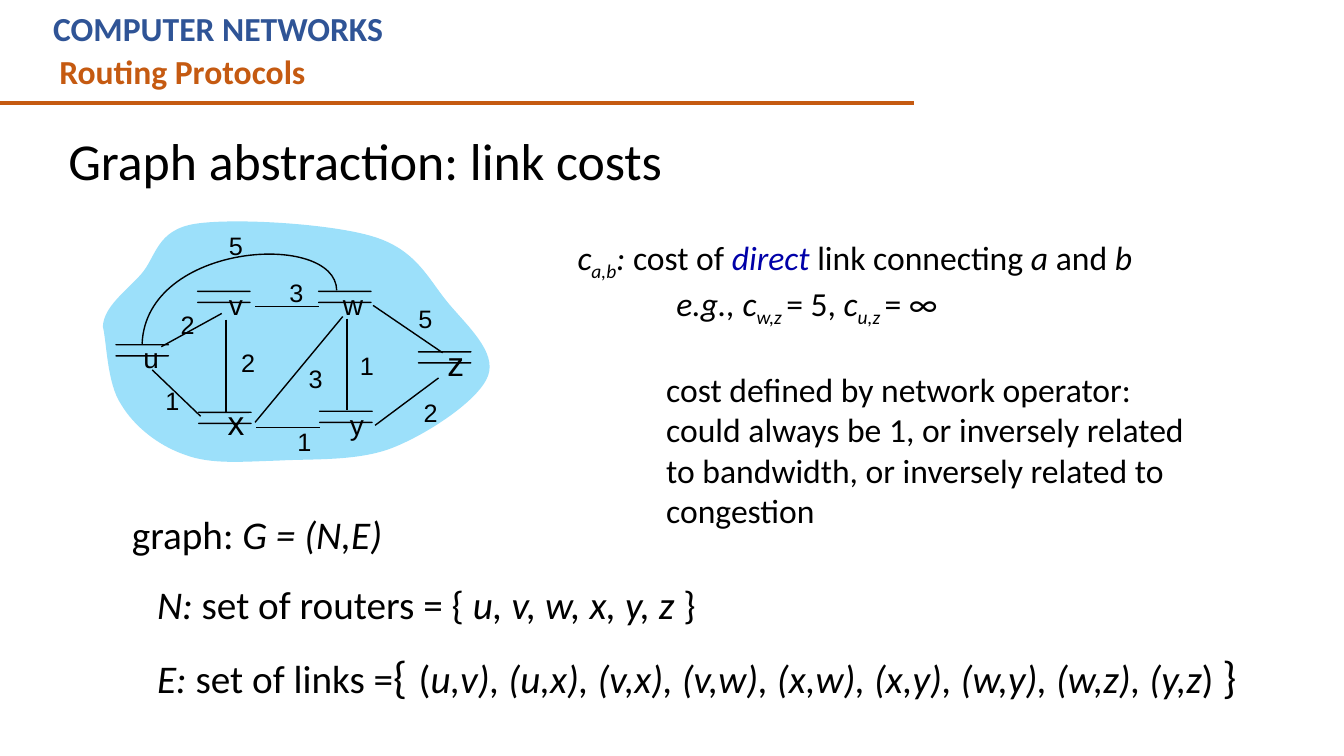
from dataclasses import dataclass

from lxml import etree
from pptx import Presentation, util as u
from pptx.dml.color import RGBColor
from pptx.enum import shapes, text
from pptx.oxml.ns import qn


@dataclass(frozen=True)
class Theme:
    ink: str = "000000"
    blue: str = "2F5496"
    orange: str = "C55A11"
    accent: str = "0000A8"
    cloud: str = "9CE0FA"
    router: str = "CCCCFF"
    body: str = "Calibri"
    label: str = "Arial"
    title_size: int = 37
    set_size: int = 28
    note_size: int = 24
    node_size: int = 20
    cost_size: int = 18
    brace_size: int = 32
    gap_size: int = 36


def rgb(value):
    return RGBColor.from_string(value)


class SlideBuilder:
    def __init__(self, prs, theme):
        self.theme = theme
        self.s = prs.slides.add_slide(prs.slide_layouts[6])

    def line(self, start, end, color=None, width=1):
        cx = self.s.shapes.add_connector(
            shapes.MSO_CONNECTOR.STRAIGHT, *(u.Inches(v) for v in (*start, *end)))
        cx.line.color.rgb = rgb(color or self.theme.ink)
        cx.line.width = u.Pt(width)
        etree.SubElement(cx._element.spPr, qn("a:effectLst"))

    def paint(self, sp, fill=None, outlined=True):
        sp.shadow.inherit = False
        if fill:
            sp.fill.solid()
            sp.fill.fore_color.rgb = rgb(fill)
        else:
            sp.fill.background()
        if outlined:
            sp.line.color.rgb = rgb(self.theme.ink)
            sp.line.width = u.Pt(1)
        else:
            sp.line.fill.background()

    def shape(self, kind, box, fill, outlined):
        sp = self.s.shapes.add_shape(kind, *(u.Inches(v) for v in box))
        self.paint(sp, fill, outlined)

    def outline(self, points, curved=False, fill=None):
        """A path; when curved, each three points after the first make one cubic curve."""
        first, *rest = [(u.Inches(x), u.Inches(y)) for x, y in points]
        fb = self.s.shapes.build_freeform(*first)
        fb.add_line_segments(rest, close=bool(fill))
        sp = fb.convert_to_shape()
        self.paint(sp, fill, outlined=not fill)
        if curved:
            steps = list(sp._element.iter(qn("a:lnTo")))
            for n in range(0, len(rest), 3):
                cubic = etree.Element(qn("a:cubicBezTo"))
                steps[n].addprevious(cubic)
                for step in steps[n:n + 3]:
                    cubic.append(step[0])
                    step.getparent().remove(step)

    def text(self, box, paragraphs, grow=True, anchor=text.MSO_ANCHOR.TOP, **base):
        """Each paragraph is (runs, paragraph format); each run is (text, font format)."""
        tf = self.s.shapes.add_textbox(*(u.Inches(v) for v in box)).text_frame
        fit = text.MSO_AUTO_SIZE
        frame = {"word_wrap": True, "vertical_anchor": anchor,
                 "auto_size": fit.SHAPE_TO_FIT_TEXT if grow else fit.NONE}
        for key, value in frame.items():
            setattr(tf, key, value)
        for n, (runs, layout) in enumerate(paragraphs):
            p = tf.add_paragraph() if n else tf.paragraphs[0]
            layout = dict(layout)
            if "indent" in layout:
                p._p.get_or_add_pPr().set("marL", str(u.Inches(layout.pop("indent"))))
            for key, value in layout.items():
                setattr(p, key, value)
            for words, extra in runs:
                self.run(p, words, {"name": self.theme.body, "color": self.theme.ink,
                                    **base, **extra})

    def run(self, p, words, fmt):
        r = p.add_run()
        r.text = words
        r.font.color.rgb = rgb(fmt.pop("color"))
        if fmt.pop("sub", False):
            r._r.get_or_add_rPr().set("baseline", "-25000")
        fmt["size"] = u.Pt(fmt["size"])
        for key, value in fmt.items():
            setattr(r.font, key, value)

    def label(self, words, x, y, size):
        self.text((x, y, 0.52, 0.52), [([(words, {})], {"alignment": text.PP_ALIGN.CENTER})],
                  name=self.theme.label, size=size)

    def router(self, x, y):
        """A flat cylinder: base, two sides, body and top."""
        kinds, fill = shapes.MSO_SHAPE, self.theme.router
        self.shape(kinds.OVAL, (x, y + 0.11, 0.52, 0), fill, True)
        for side in (x, x + 0.55):
            self.line((side, y + 0.1), (side, y + 0.1))
        self.shape(kinds.RECTANGLE, (x, y + 0.1, 0.52, 0), fill, False)
        self.shape(kinds.OVAL, (x, y, 0.52, 0), fill, True)


def draw_graph(b, t):
    b.outline([
        (1.02, 3.24), (1.03, 3.04), (1.25, 2.89), (1.4, 2.72), (1.55, 2.55), (1.55, 2.28),
        (1.94, 2.22), (2.33, 2.16), (3.3, 2.22), (3.71, 2.35), (4.13, 2.48), (4.25, 2.77),
        (4.44, 3), (4.63, 3.23), (4.93, 3.49), (4.84, 3.73), (4.75, 3.97), (4.25, 4.3),
        (3.9, 4.44), (3.55, 4.58), (3.09, 4.55), (2.75, 4.57), (2.4, 4.58), (2.09, 4.61),
        (1.83, 4.51), (1.57, 4.42), (1.33, 4.23), (1.2, 4.01), (1.06, 3.8), (1.06, 3.4),
        (1.02, 3.24)], curved=True, fill=t.cloud)
    links = [  # path, cost, label position
        ([(1.6, 3.44), (2.2, 3.11)], "2", (1.6, 3.02)),
        ([(2.24, 3.17), (2.24, 4.1)], "2", (2.2, 3.4)),
        ([(1.99, 4.13), (1.51, 3.67)], "1", (1.45, 3.77)),
        ([(2.53, 4.19), (3.4, 3.14)], "3", (2.87, 3.56)),
        ([(3.17, 4.24), (2.54, 4.24)], "1", (2.76, 4.18)),
        ([(3.44, 3.16), (3.44, 4.07)], "1", (3.38, 3.43)),
        ([(3.72, 4.22), (4.35, 3.75)], "2", (4.01, 3.89)),
        ([(4.39, 3.5), (3.7, 3.03)], "5", (3.96, 2.96)),
        ([(3.16, 3.04), (2.53, 3.04)], "3", (2.68, 2.7)),
        ([(3.34, 2.88), (3.33, 2.29), (1.45, 2.4), (1.41, 3.41)], "5", (2.08, 2.24)),
    ]
    routers = [  # name, icon position, label position, size
        ("u", (1.15, 3.42), (1.24, 3.33), t.node_size),
        ("x", (1.97, 4.09), (2.08, 3.94), t.note_size),
        ("v", (1.96, 2.89), (2.08, 2.8), t.node_size),
        ("w", (3.16, 2.89), (3.24, 2.8), t.node_size),
        ("y", (3.17, 4.08), (3.28, 3.99), t.node_size),
        ("z", (4.15, 3.49), (4.26, 3.35), t.note_size),
    ]
    for _, icon, _, _ in routers:
        b.router(*icon)
    for points, _, _ in links:
        b.outline(points, curved=len(points) > 2)
    for name, _, spot, size in routers:
        b.label(name, *spot, size)
    for _, cost, spot in links:
        b.label(cost, *spot, t.cost_size)


def main():
    prs = Presentation()
    prs.slide_width, prs.slide_height = u.Inches(13.33), u.Inches(7.5)
    t = Theme()
    b = SlideBuilder(prs, t)
    plain, it = {}, {"italic": True}
    sub = {"italic": True, "sub": True}

    b.text((0.58, 1.13, 7.5, 0.98),
           [([("Graph abstraction: link costs", plain)], {"line_spacing": 0.9})],
           grow=False, anchor=text.MSO_ANCHOR.MIDDLE, size=t.title_size)
    draw_graph(b, t)

    b.text((1.21, 5.01, 2.71, 1.04), [([("graph: ", plain), ("G = (N,E)", it)], {})],
           size=t.set_size)
    b.text((5.63, 2.3, 6.44, 2.93), [
        ([("c", it), ("a,b", sub), (": ", it), ("cost of ", plain),
          ("direct", {"italic": True, "color": t.accent}), (" link connecting ", plain),
          ("a", it), (" and ", plain), ("b", it)], {}),
        ([("e.g., c", it), ("w,z ", sub), ("= 5, ", plain), ("c", it), ("u,z ", sub),
          ("= ∞", plain)], {"indent": 0.98}),
        ([("cost defined by network operator: could always be 1, or inversely related to "
           "bandwidth, or inversely related to congestion", plain)],
         {"indent": 0.88, "space_before": u.Pt(28.8)}),
    ], size=t.note_size)
    b.text((1.46, 5.71, 5.59, 0.57), [
        ([("N: ", it), ("set of routers = { ", plain), ("u, v, w, x, y, z ", it),
          ("}", plain)], {})], size=t.set_size)
    brace = {"size": t.brace_size}
    b.text((1.46, 6.33, 11.02, 0.71), [
        ([("E: ", it), ("set of links =", plain), ("{", brace), (" ", {"size": t.gap_size}),
          ("(", plain),
          ("u,v), (u,x), (v,x), (v,w), (x,w), (x,y), (w,y), (w,z), (y,z", it),
          (") ", plain), ("}", brace)], {})], size=t.set_size)

    for words, box, color in (("COMPUTER NETWORKS", (0.43, 0.03, 8.2, 0.5), t.blue),
                              ("Routing Protocols", (0.49, 0.46, 4.43, 0.5), t.orange)):
        b.text(box, [([(words, plain)], {})], grow=False, size=t.note_size, bold=True,
               color=color)
    b.line((-0.01, 1.02), (9.07, 1.02), t.orange, 3)
    prs.save("out.pptx")


if __name__ == "__main__":
    main()
